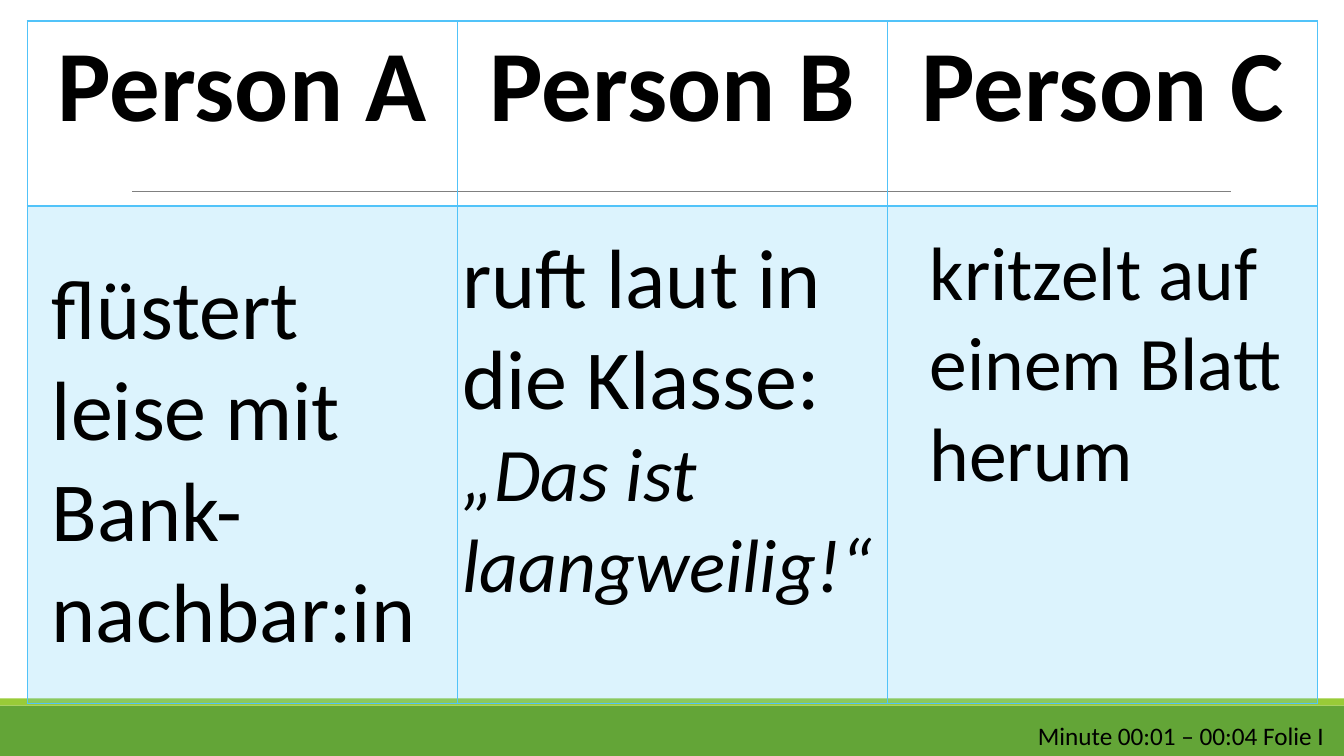
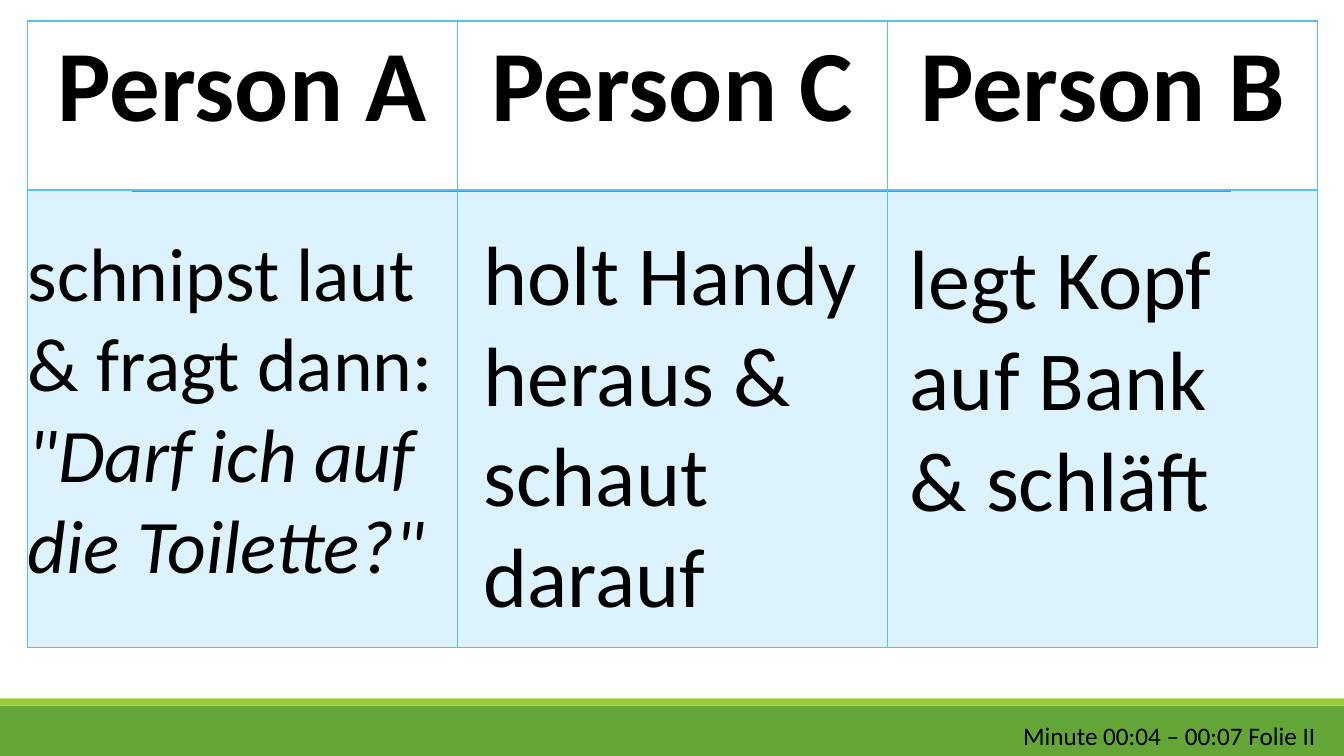
from dataclasses import dataclass

from lxml.etree import SubElement
from pptx import Presentation
from pptx.dml.color import RGBColor as Rgb
from pptx.enum.shapes import MSO_CONNECTOR as Conn, MSO_SHAPE as Shape
from pptx.enum.text import PP_ALIGN as Align
from pptx.oxml.ns import qn
from pptx.util import Pt

SCALE = 9525  # EMU in one px


@dataclass(frozen=True)
class Theme:
    font: str = "Calibri"
    ink: str = "000000"
    green: str = "63A537"
    lime: str = "99CB38"
    sky: str = "51C3F9"
    gray: str = "808080"
    tint: int = 20  # percent
    head: int = 72
    big: int = 60
    mid: int = 54
    small: int = 18
    thin: int = 1
    thick: int = 2


THEME = Theme()
WIDE, HIGH = 1280, 720
BANDS = [((0, 672, WIDE, 48), THEME.green), ((0, 665, WIDE, 7), THEME.lime)]
RULE = (126, 182, 1172, 182)

# A note is its box and its paragraphs of (text, size, italic).
SLIDES = [
    {
        "names": ["Person A", "Person B", "Person C"],
        "rows": (176, 474),
        "notes": [
            ((40, 239, 415, 397),
             [("flüstert leise mit Bank-nachbar:in", THEME.big, False)]),
            ((431, 209, 415, 378),
             [("ruft laut in die Klasse:", THEME.big, False),
              ("„Das ist laangweilig!“", THEME.mid, True)]),
            ((876, 209, 386, 272),
             [("kritzelt auf einem Blatt herum", THEME.mid, False)]),
            ((979, 681, 295, 38),
             [("Minute 00:01 – 00:04 Folie I", THEME.small, False)]),
        ],
    },
    {
        "names": ["Person A", "Person C", "Person B"],
        "rows": (161, 436),
        "notes": [
            ((17, 210, 426, 359),
             [("schnipst laut & fragt dann:", THEME.mid, False),
              ('"Darf ich auf die Toilette?"', THEME.mid, True)]),
            ((451, 206, 377, 397),
             [("holt Handy heraus & schaut darauf", THEME.big, False)]),
            ((857, 210, 406, 300),
             [("legt Kopf auf Bank", THEME.big, False),
              ("& schläft", THEME.big, False)]),
            ((965, 681, 309, 38),
             [("Minute 00:04 – 00:07 Folie II", THEME.small, False)]),
        ],
    },
]


def px(*vals):
    return [val * SCALE for val in vals]


def write(para, text, size, **form):
    run = para.add_run()
    run.text = text
    form = {"name": THEME.font, "size": Pt(size), **form}
    for key, val in form.items():
        setattr(run.font, key, val)
    run.font.color.rgb = Rgb.from_string(THEME.ink)


def add_frame(slide):
    """Draw the bands and the rule that all slides share."""
    for box, color in BANDS:
        band = slide.shapes.add_shape(Shape.RECTANGLE, *px(*box))
        band.shadow.inherit = False
        band.fill.solid()
        band.fill.fore_color.rgb = Rgb.from_string(color)
        band.line.fill.background()
    rule = slide.shapes.add_connector(Conn.STRAIGHT, *px(*RULE))
    rule.line.color.rgb = Rgb.from_string(THEME.gray)
    rule.line.width = Pt(0.5)
    SubElement(rule.element.spPr, qn("a:effectLst"))


def set_edges(cell, **widths):
    props = cell._tc.get_or_add_tcPr()
    for side, width in widths.items():
        line = SubElement(props, qn(f"a:ln{side}"), w=str(Pt(width)))
        fill = SubElement(line, qn("a:solidFill"))
        SubElement(fill, qn("a:srgbClr"), val=THEME.sky)


def tint(cell):
    cell.fill.solid()
    cell.fill.fore_color.rgb = Rgb.from_string(THEME.sky)
    color = cell._tc.tcPr.find(qn("a:solidFill"))[0]
    SubElement(color, qn("a:alpha"), val=str(THEME.tint * 1000))


def add_grid(slide, left, top, width, rows, names):
    """Draw a row of names above a row of tinted, empty cells."""
    box = px(left, top, width, sum(rows))
    table = slide.shapes.add_table(len(rows), len(names), *box).table
    table.first_row = table.horz_banding = False
    for row, high in zip(table.rows, px(*rows)):
        row.height = high
    thin, thick = THEME.thin, THEME.thick
    for col, name in enumerate(names):
        head, body = table.cell(0, col), table.cell(1, col)
        set_edges(head, L=thin, R=thin, T=thin, B=thick)
        set_edges(body, L=thin, R=thin, T=thick, B=thin)
        head.fill.background()
        tint(body)
        para = head.text_frame.paragraphs[0]
        para.alignment = Align.CENTER
        write(para, name, THEME.head, bold=True)


def add_note(slide, box, parts):
    frame = slide.shapes.add_textbox(*px(*box)).text_frame
    frame.word_wrap = True
    for num, (text, size, slant) in enumerate(parts):
        para = frame.add_paragraph() if num else frame.paragraphs[0]
        write(para, text, size, italic=slant)


def main():
    deck = Presentation()
    deck.slide_width, deck.slide_height = px(WIDE, HIGH)
    blank = deck.slide_layouts.get_by_name("Blank")
    for data in SLIDES:
        slide = deck.slides.add_slide(blank)
        add_frame(slide)
        add_grid(slide, 26, 20, 1229, data["rows"], data["names"])
        for box, parts in data["notes"]:
            add_note(slide, box, parts)
    deck.save("out.pptx")


if __name__ == "__main__":
    main()
